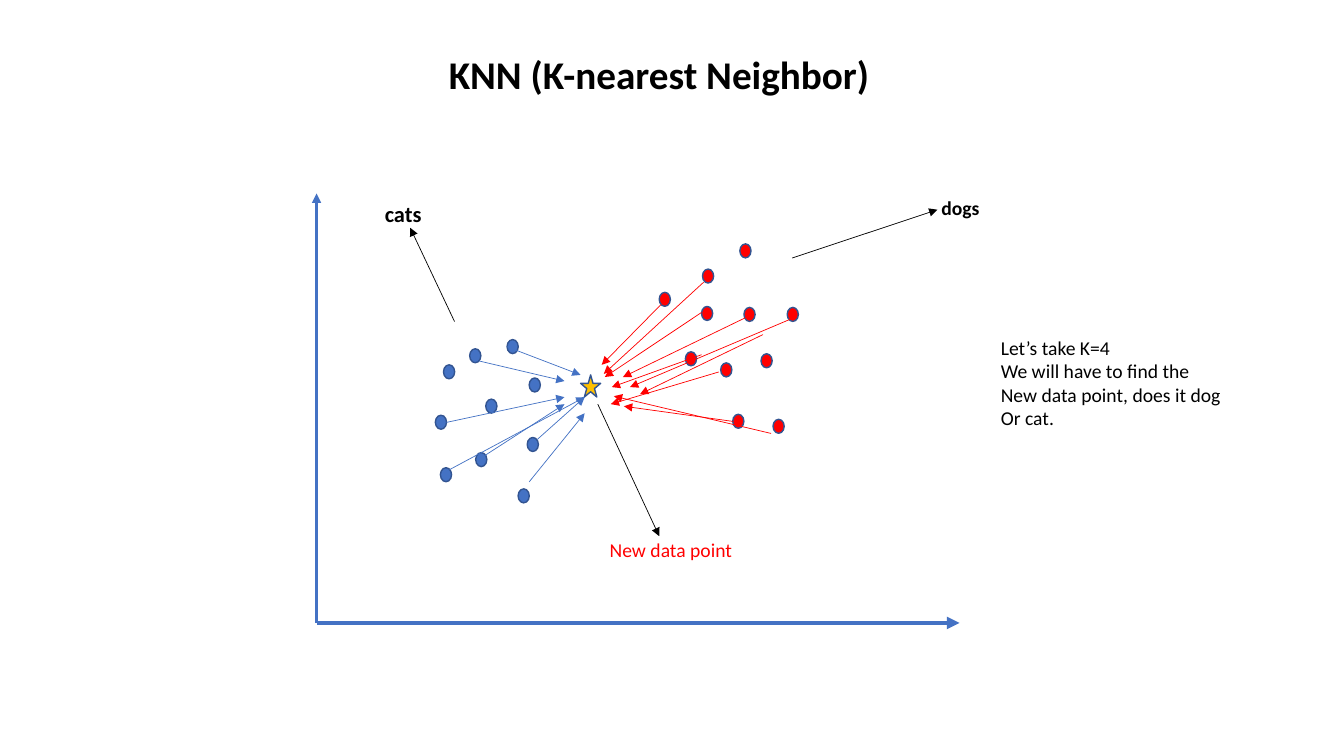
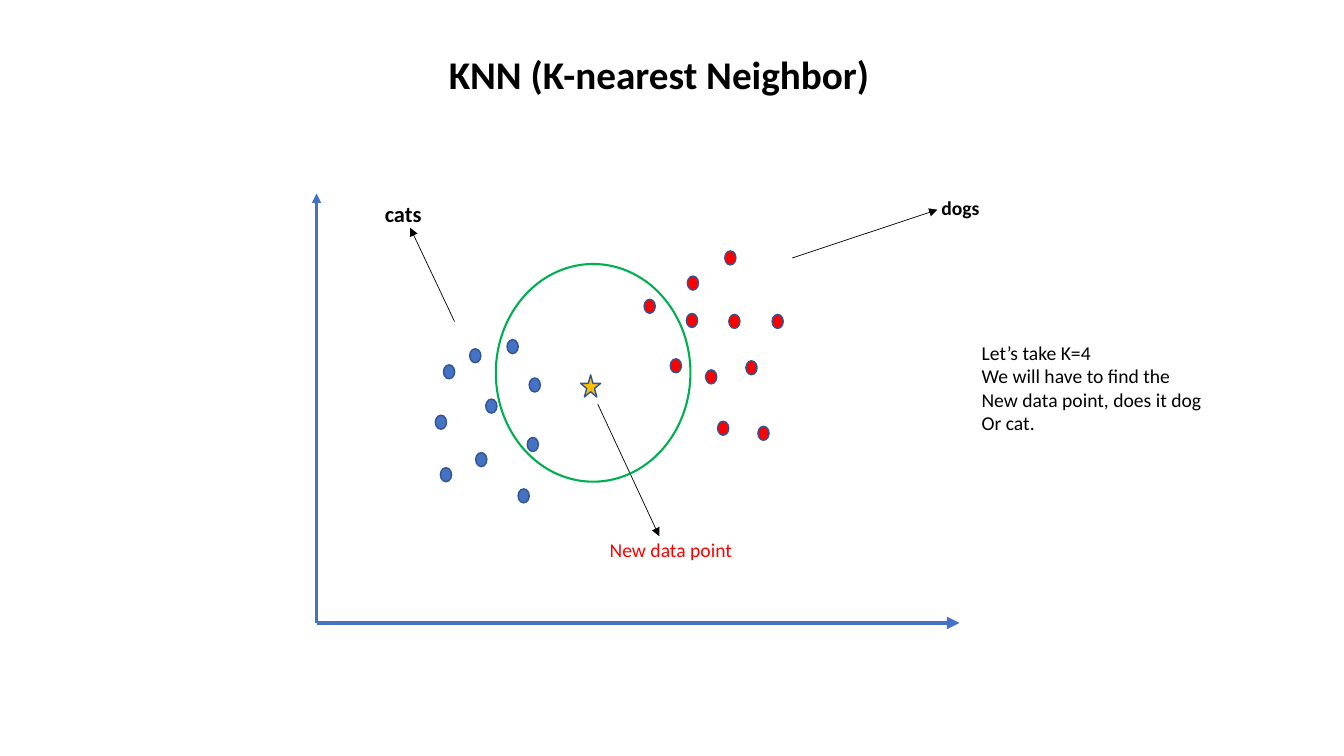
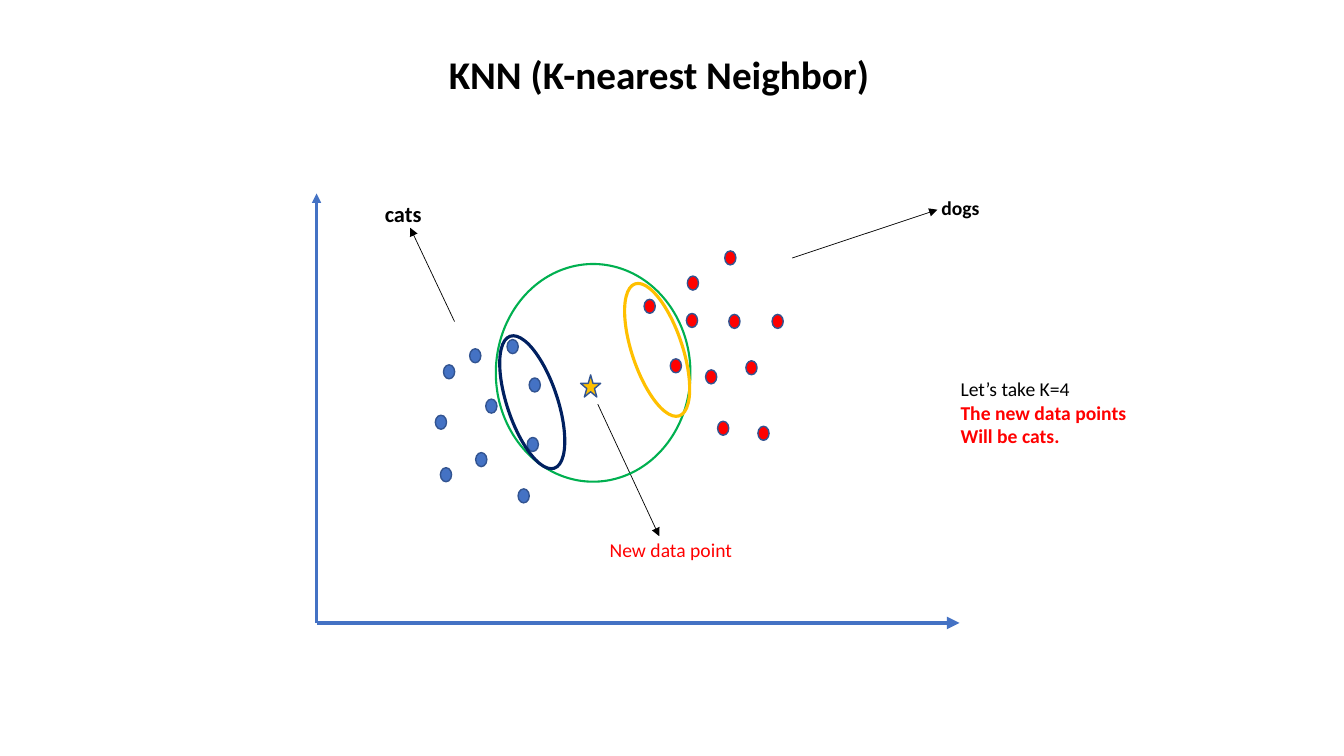
from lxml.etree import SubElement
from pptx import Presentation
from pptx.dml.color import RGBColor
from pptx.enum.shapes import MSO_CONNECTOR, MSO_SHAPE
from pptx.enum.text import MSO_ANCHOR, MSO_AUTO_SIZE, PP_ALIGN
from pptx.oxml.ns import qn
from pptx.util import Pt

BLACK = RGBColor(0x00, 0x00, 0x00)
BLUE = RGBColor(0x44, 0x72, 0xC4)
EDGE = RGBColor(0x32, 0x54, 0x91)
RED = RGBColor(0xFF, 0x00, 0x00)
GOLD = RGBColor(0xFF, 0xC0, 0x00)
GREEN = RGBColor(0x00, 0xB0, 0x50)
NAVY = RGBColor(0x00, 0x20, 0x60)

PLAIN = {"name": "Calibri", "size": Pt(14), "bold": False}
BOLD = {**PLAIN, "bold": True}
LARGE = {**BOLD, "size": Pt(16)}
HEAD = {**BOLD, "size": Pt(28)}

DOT = (8, 10)
STAR = (414.7, 267.8, 14.4, 15.8)
RING = (354.2, 188.6, 139, 155.5)
LOOP = (36, 99.4)
TILT = 341.5
SHIFT = (-10.8, 5)

CATS = [(314.6, 334.1), (339.8, 323.3), (376.6, 312.5), (335.5, 249.1),
        (378, 270), (311, 296.6), (362.2, 242.6), (316.8, 260.6),
        (370.1, 349.2), (347, 285.1)]
DOGS = [(528.5, 174.2), (470.9, 208.8), (562.3, 219.6), (501.8, 192.2),
        (514.8, 259.2), (489.6, 251.3), (501.1, 218.9), (543.6, 252.7),
        (531.4, 219.6), (523.4, 295.9), (552.2, 299.5)]
CAT_RAYS = [(383.8, 313.9, 417.6, 283.7), (362.2, 247.7, 414.7, 267.8),
            (319, 301.7, 403.2, 283.7), (342, 257.8, 403.2, 272.2),
            (346.3, 325.4, 403.2, 288.7), (378, 344.2, 417.6, 295.2),
            (321.1, 335.5, 417.6, 283.7)]
DOG_RAYS = [(472.3, 217.4, 429.8, 260.6), (502.6, 201.6, 431.3, 267.1),
            (501.1, 223.2, 432, 269.3), (501.1, 253.4, 437, 276.5),
            (513.4, 265.7, 436.3, 288.7), (532.8, 226.8, 445, 269.3),
            (523.4, 301, 445.7, 290.2), (550.8, 309.6, 438.5, 283),
            (545, 239, 457.2, 281.5), (567.4, 226.8, 450, 276.5)]
AXES = [((226.1, 445, 685.4, 445), 3), ((226.1, 445, 226.1, 138.2), 2.25)]
LEADS = [(427, 288.7, 470.9, 383), (565.9, 184.3, 669.6, 149.8),
         (324.7, 229.7, 293, 162.7)]
LABELS = [((428.4, 380.9, 103, 24.5), "New data point", PLAIN, RED),
          ((665.3, 136.1, 41.8, 24.5), "dogs", BOLD, BLACK),
          ((267.8, 139.7, 41, 26.6), "cats", LARGE, BLACK)]

START = ("Let’s take K=4", PLAIN, BLACK)
TASK = [START] + [(text, PLAIN, BLACK) for text in (
    "We will have to find the", "New data point, does it dog", "Or cat.")]
RESULT = [START] + [(text, BOLD, RED) for text in (
    "The new data points", "Will be cats.")]


def write(par, text, form, color):
    """Put one formatted run in a paragraph."""
    run = par.add_run()
    run.text = text
    for key, value in form.items():
        setattr(run.font, key, value)
    run.font.color.rgb = color


def add_title(slide):
    """Place and format the slide title."""
    title = slide.shapes.title
    spot = {"left": 113.8, "top": 20.9, "width": 720, "height": 52.6}
    for key, value in spot.items():
        setattr(title, key, Pt(value))
    frame = title.text_frame
    frame.auto_size = MSO_AUTO_SIZE.NONE
    frame.vertical_anchor = MSO_ANCHOR.BOTTOM
    par = frame.paragraphs[0]
    par.alignment = PP_ALIGN.CENTER
    par.line_spacing = 0.9
    write(par, "KNN (K-nearest Neighbor) ", HEAD, BLACK)


def add_text(slide, box, lines):
    """Add an unwrapped text box, one paragraph per line."""
    frame = slide.shapes.add_textbox(*map(Pt, box)).text_frame
    frame.word_wrap = False
    frame.auto_size = MSO_AUTO_SIZE.SHAPE_TO_FIT_TEXT
    for i, line in enumerate(lines):
        par = frame.add_paragraph() if i else frame.paragraphs[0]
        write(par, *line)


def add_arrow(slide, ends, color, width=0.5):
    """Draw a straight arrow between two points."""
    arrow = slide.shapes.add_connector(MSO_CONNECTOR.STRAIGHT, *map(Pt, ends))
    arrow.line.color.rgb = color
    arrow.line.width = Pt(width)
    props = arrow.line._get_or_add_ln()
    SubElement(props, qn("a:tailEnd"), type="triangle")
    SubElement(props.getparent(), qn("a:effectLst"))


def add_mark(slide, box, fill=None, edge=EDGE, width=1,
             kind=MSO_SHAPE.OVAL, turn=0):
    """Draw a shape, hollow when it has no fill colour."""
    mark = slide.shapes.add_shape(kind, *map(Pt, box))
    mark.shadow.inherit = False
    mark.rotation = turn
    mark.line.color.rgb = edge
    mark.line.width = Pt(width)
    if fill is None:
        mark.fill.background()
    else:
        mark.fill.solid()
        mark.fill.fore_color.rgb = fill


def add_dots(slide, spots, color, shift=(0, 0)):
    """Draw one class of data points."""
    for left, top in spots:
        add_mark(slide, (left + shift[0], top + shift[1], *DOT), color)


def add_plot(deck, box, note, shift=(0, 0)):
    """Add a slide with title, note, axes, points and labels."""
    slide = deck.slides.add_slide(deck.slide_layouts[5])
    add_title(slide)
    add_text(slide, box, note)
    for ends, width in AXES:
        add_arrow(slide, ends, BLUE, width)
    add_dots(slide, CATS, BLUE)
    add_dots(slide, DOGS, RED, shift)
    add_mark(slide, STAR, GOLD, kind=MSO_SHAPE.STAR_5_POINT)
    for ends in LEADS:
        add_arrow(slide, ends, BLACK)
    for spot, *line in LABELS:
        add_text(slide, spot, [line])
    return slide


def main():
    """Build the three slides."""
    deck = Presentation()
    deck.slide_width, deck.slide_height = Pt(960), Pt(540)

    rays = add_plot(deck, (707.8, 236.2, 172.8, 74.9), TASK)
    for group, color in ((CAT_RAYS, BLUE), (DOG_RAYS, RED)):
        for ends in group:
            add_arrow(rays, ends, color)

    near = add_plot(deck, (694.1, 239.8, 172.8, 74.9), TASK, SHIFT)
    vote = add_plot(deck, (679, 265.7, 133.2, 58.3), RESULT, SHIFT)
    for slide in (near, vote):
        add_mark(slide, RING, edge=GREEN, width=1.5)
    for left, top, color in ((362.2, 237.6, NAVY), (451.4, 200.2, GOLD)):
        add_mark(vote, (left, top, *LOOP), edge=color, width=2.25, turn=TILT)

    deck.save("out.pptx")


main()
